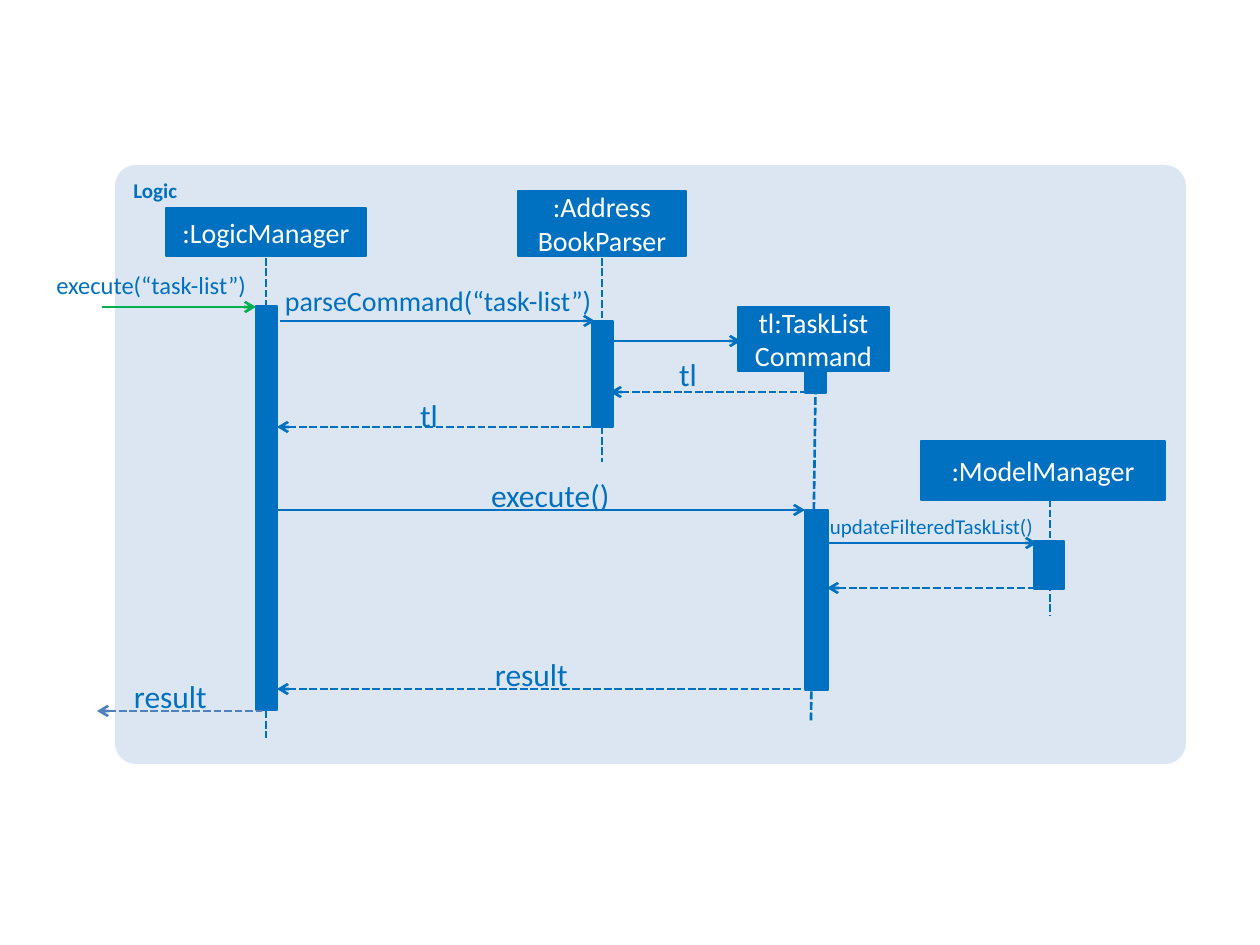
from lxml import etree
from pptx import Presentation
from pptx.dml.color import RGBColor
from pptx.enum.dml import MSO_LINE
from pptx.enum.shapes import MSO_CONNECTOR, MSO_SHAPE
from pptx.enum.text import MSO_ANCHOR, PP_ALIGN
from pptx.oxml.ns import qn
from pptx.util import Emu, Pt

PX_PER_INCH = 126
EMU_PER_PX = 914400 / PX_PER_INCH
COLORS = {"frame": "DCE6F2", "blue": "0070C0", "green": "00B050",
          "steel": "4F81BD", "white": "FFFFFF"}
FONT = "Calibri"
RECT, ROUNDED = MSO_SHAPE.RECTANGLE, MSO_SHAPE.ROUNDED_RECTANGLE
STRAIGHT, DASH = MSO_CONNECTOR.STRAIGHT, MSO_LINE.SQUARE_DOT
TOP, MIDDLE = MSO_ANCHOR.TOP, MSO_ANCHOR.MIDDLE
LEFT, CENTER, RIGHT = PP_ALIGN.LEFT, PP_ALIGN.CENTER, PP_ALIGN.RIGHT


def px(value):
    return Emu(round(value * EMU_PER_PX))


def color(name):
    return RGBColor.from_string(COLORS[name])


class SequenceDiagram:
    def __init__(self, slide):
        self.slide = slide

    def add_text(self, paragraph, text, size, color_name, align, bold=False):
        paragraph.alignment = align
        for index, line in enumerate(text.split("\v")):
            if index:
                paragraph.add_line_break()
            run = paragraph.add_run()
            run.text = line
            run.font.name = FONT
            run.font.size = Pt(size)
            run.font.bold = bold
            run.font.color.rgb = color(color_name)

    def block(self, kind, box, fill, line_width=0):
        shape = self.slide.shapes.add_shape(kind, *map(px, box))
        shape.shadow.inherit = False
        shape.fill.solid()
        shape.fill.fore_color.rgb = color(fill)
        if line_width:
            shape.line.color.rgb = color(fill)
            shape.line.width = Pt(line_width)
        else:
            shape.line.fill.background()
        return shape

    def frame(self, box, title):
        shape = self.block(ROUNDED, box, "frame")
        shape.adjustments[0] = 0.035
        frame = shape.text_frame
        frame.vertical_anchor = TOP
        self.add_text(frame.paragraphs[0], title, 12, "blue", LEFT, bold=True)

    def header(self, box, *lines):
        frame = self.block(RECT, box, "blue", 1.5).text_frame
        frame.word_wrap = True
        frame.vertical_anchor = MIDDLE
        for index, line in enumerate(lines):
            paragraph = frame.add_paragraph() if index else frame.paragraphs[0]
            self.add_text(paragraph, line, 16, "white", CENTER)

    def activation(self, *box):
        self.block(RECT, box, "blue", 0.75)

    def line(self, start, end, color_name="blue", dashed=False, arrow_end=None):
        connector = self.slide.shapes.add_connector(
            STRAIGHT, *map(px, (*start, *end)))
        connector.line.color.rgb = color(color_name)
        connector.line.width = Pt(1.5)
        if dashed:
            connector.line.dash_style = DASH
        if arrow_end:
            outline = connector.line._get_or_add_ln()
            etree.SubElement(outline, qn(f"a:{arrow_end}"), type="arrow")
        etree.SubElement(connector._element.spPr, qn("a:effectLst"))

    def lifeline(self, x, top, bottom, end_x=None):
        self.line((x, top), (end_x or x, bottom), dashed=True)

    def call(self, left, right, y, color_name="blue"):
        self.line((left, y), (right, y), color_name, arrow_end="tailEnd")

    def reply(self, left, right, y, color_name="blue"):
        self.line((left, y), (right, y), color_name, True, "headEnd")

    def label(self, box, text, size=18, align=LEFT):
        frame = self.slide.shapes.add_textbox(*map(px, box)).text_frame
        frame.word_wrap = True
        frame.margin_left = frame.margin_right = 0
        frame.margin_top = frame.margin_bottom = 0
        self.add_text(frame.paragraphs[0], text, size, "blue", align)


def main():
    presentation = Presentation()
    presentation.slide_width, presentation.slide_height = px(1260), px(945)
    slide = presentation.slides.add_slide(presentation.slide_layouts[6])
    diagram = SequenceDiagram(slide)

    diagram.frame((115, 165, 1071, 599), "Logic")

    # Lifelines
    diagram.lifeline(266, 258, 738)
    diagram.lifeline(602, 258, 462)
    diagram.lifeline(816, 355, 721, end_x=811)
    diagram.lifeline(1050, 499, 615)

    # Activation bars
    diagram.activation(256, 306, 21, 404)
    diagram.activation(592, 321, 21, 106)
    diagram.activation(805, 355, 21, 38)
    diagram.activation(805, 510, 23, 180)
    diagram.activation(1034, 541, 30, 48)

    # Calls
    diagram.call(102, 256, 307, "green")
    diagram.call(280, 595, 321)
    diagram.call(614, 741, 341)
    diagram.call(277, 805, 510)
    diagram.call(829, 1037, 543)

    # Replies
    diagram.reply(610, 816, 392)
    diagram.reply(277, 601, 427)
    diagram.reply(827, 1037, 588)
    diagram.reply(277, 805, 689)
    diagram.reply(97, 262, 711, "steel")

    # Participants
    diagram.header((166, 208, 200, 48), ":LogicManager")
    diagram.header((518, 191, 168, 65), ":Address", "BookParser")
    diagram.header((738, 307, 151, 64), "tl:TaskList\vCommand")
    diagram.header((921, 441, 244, 59), ":ModelManager")

    # Message labels
    diagram.label((49, 270, 197, 30), "execute(“task-list”)", 14, RIGHT)
    diagram.label((285, 284, 326, 34), "parseCommand(“task-list”)", 16)
    diagram.label((679, 355, 30, 38), "tl")
    diagram.label((420, 396, 30, 38), "tl")
    diagram.label((491, 476, 147, 38), "execute()")
    diagram.label((830, 514, 226, 25), "updateFilteredTaskList()", 12)
    diagram.label((495, 655, 86, 38), "result")
    diagram.label((134, 677, 105, 38), "result")

    presentation.save("out.pptx")


if __name__ == "__main__":
    main()
